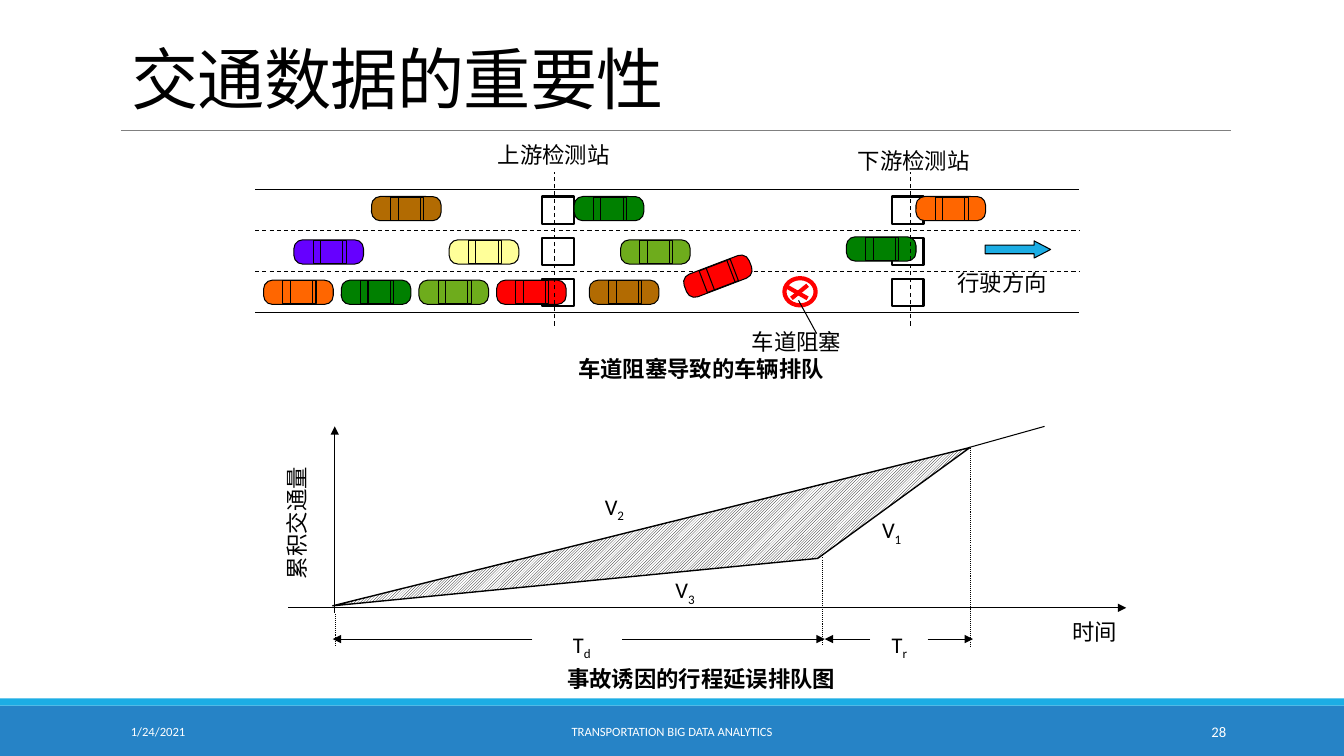
import math

import pptx
import pptx.dml.color
import pptx.enum.dml
import pptx.enum.shapes
import pptx.enum.text
import pptx.oxml
import pptx.oxml.ns
import pptx.util

Inches, Pt = pptx.util.Inches, pptx.util.Pt
SHAPE = pptx.enum.shapes.MSO_SHAPE
DASH = pptx.enum.dml.MSO_LINE.DASH
DOT = pptx.enum.dml.MSO_LINE.ROUND_DOT
ALIGN = pptx.enum.text.PP_ALIGN
ANCHOR = pptx.enum.text.MSO_ANCHOR
WIDTH, HEIGHT = 13.33, 7.5
BLACK, WHITE, RED = "000000", "FFFFFF", "FF0000"
BROWN, GREEN, LIME, ORANGE = "B26B02", "008000", "6EAC1C", "FF6600"
YELLOW, VIOLET, SKY, BLUE = "FFFF99", "6600FF", "1CADE4", "2683C6"


def rgb(colour):
    return pptx.dml.color.RGBColor.from_string(colour)


def draw(kind, left, top, width, height, fill=None, line=BLACK, weight=0.75):
    """Add a preset shape, measured in inches; None means no fill or no line."""
    shape = slide.shapes.add_shape(kind, Inches(left), Inches(top), Inches(width), Inches(height))
    shape.shadow.inherit = False
    for target, colour in ((shape.fill, fill), (shape.line.fill, line)):
        if colour is None:
            target.background()
        else:
            target.solid()
            target.fore_color.rgb = rgb(colour)
    if line:
        shape.line.width = Pt(weight)
    return shape


presentation = pptx.Presentation()
presentation.slide_width, presentation.slide_height = Inches(WIDTH), Inches(HEIGHT)
slide = presentation.slides.add_slide(presentation.slide_layouts[5])

# Title and footer bars
title = slide.shapes.title
title.left, title.top, title.width, title.height = (Inches(n) for n in (1.2, 0.13, 11, 1.09))
title.text_frame.text = "交通数据的重要性"
title.text_frame.auto_size = pptx.enum.text.MSO_AUTO_SIZE.NONE
title.text_frame.vertical_anchor = ANCHOR.BOTTOM
paragraph = title.text_frame.paragraphs[0]
paragraph.alignment, paragraph.line_spacing = ALIGN.LEFT, 0.85
run = paragraph.runs[0]
run.font.name, run.font.size, run.font.color.rgb = "Calibri", Pt(48), rgb(BLACK)
run.font._element.set("spc", "-50")

draw(SHAPE.RECTANGLE, 0, HEIGHT - 0.5, WIDTH, 0.5, BLUE, None)
draw(SHAPE.RECTANGLE, 0, HEIGHT - 0.57, WIDTH, 0.07, SKY, None)

# Road grid: three lanes, a detector in each lane at both stations
ROAD_TOP, LANE = 1.88, 0.407
lane_edges = [ROAD_TOP + LANE * i for i in range(4)]
for station in (5.38, 8.85):
    for edge in lane_edges[:3]:
        draw(SHAPE.RECTANGLE, station, edge + 0.07, 0.31, 0.27, weight=1.5)

# Each line: x1, y1, x2, y2, colour, weight, dash, arrow at the end
road_lines = [(2.53, edge, 10.7, edge, BLACK, 0.75, DASH if i in (1, 2) else None, False)
              for i, edge in enumerate(lane_edges)]
station_lines = [(x, 3.23, x, 1.71, BLACK, 0.75, DASH, False) for x in (5.5, 9.03)]
sign_lines = [
    (8.01, 2.83, 7.85, 2.96, RED, 3, None, False),
    (8.01, 2.96, 7.78, 2.83, RED, 3, None, False),
    (7.92, 2.98, 8.1, 3.31, BLACK, 0.75, None, False),
]
axis_lines = [(x1, y1, x2, y2, BLACK, 0.75, None, True) for x1, y1, x2, y2 in (
    (3.32, 6.08, 3.32, 4.23), (2.86, 6.03, 11.17, 6.03),
    (5.28, 6.34, 3.3, 6.34), (6.17, 6.34, 8.18, 6.34),
    (8.63, 6.34, 8.18, 6.34), (9.2, 6.34, 9.65, 6.34))]
drop_lines = [(x, y, x, 6.41, BLACK, 0.75, DOT, False)
              for x, y in ((3.33, 6.09), (8.16, 5.51), (9.63, 4.44))]
other_lines = [(1.2, 1.29, 12.21, 1.29, "808080", 0.5, None, False),
               (9.61, 4.44, 10.36, 4.23, BLACK, 0.75, None, False)]

# Cars: centre x, centre y, colour, rotation
cars = [
    *((x, 2.9, colour, 0) for x, colour in zip(
        (6.19, 5.27, 4.5, 3.73, 2.96), (BROWN, RED, LIME, GREEN, ORANGE))),
    *((x, 2.5, colour, 0) for x, colour in zip((6.5, 4.8, 3.26), (LIME, YELLOW, VIOLET))),
    *((x, 2.07, colour, 0) for x, colour in zip((4.03, 6.04, 9.43), (BROWN, GREEN, ORANGE))),
    (8.74, 2.47, GREEN, 0),
    (7.12, 2.74, RED, -20.9),
]
# Car parts: kind, length, breadth, shift towards the front
car_parts = [
    (SHAPE.ROUNDED_RECTANGLE, 0.69, 0.24, 0),
    (SHAPE.RECTANGLE, 0.33, 0.23, 0.01),
    (SHAPE.RECTANGLE, 0.22, 0.23, 0.03),
]
for x, y, colour, rotation in cars:
    angle = math.radians(rotation)
    for kind, length, breadth, shift in car_parts:
        part = draw(kind, x + shift * math.cos(angle) - length / 2,
                    y + shift * math.sin(angle) - breadth / 2, length, breadth, colour)
        part.rotation = rotation
        if kind == SHAPE.ROUNDED_RECTANGLE:
            part.adjustments[0] = 0.36

draw(SHAPE.OVAL, 7.78, 2.76, 0.31, 0.27, line=RED, weight=3)
direction = draw(SHAPE.RIGHT_ARROW, 9.77, 2.39, 0.65, 0.17, SKY)
direction.adjustments[1] = 0.96

# Delay area between the cumulative curves
corners = [(Inches(x), Inches(y)) for x, y in ((3.3, 6.01), (9.62, 4.44), (8.11, 5.54))]
builder = slide.shapes.build_freeform(*corners[0])
builder.add_line_segments(corners[1:], close=True)
delay = builder.convert_to_shape()
delay.shadow.inherit = False
delay.fill.patterned()
delay.fill.pattern = pptx.enum.dml.MSO_PATTERN.LIGHT_UPWARD_DIAGONAL
delay.fill.fore_color.rgb, delay.fill.back_color.rgb = rgb(BLACK), rgb(WHITE)
delay.line.color.rgb, delay.line.width = rgb(BLACK), Pt(1)

for x1, y1, x2, y2, colour, weight, dash, arrow in (
        road_lines + station_lines + sign_lines + axis_lines + drop_lines + other_lines):
    connector = slide.shapes.add_connector(
        pptx.enum.shapes.MSO_CONNECTOR.STRAIGHT, Inches(x1), Inches(y1), Inches(x2), Inches(y2))
    connector.line.color.rgb, connector.line.width = rgb(colour), Pt(weight)
    if dash:
        connector.line.dash_style = dash
    properties = connector._element.spPr
    if arrow:
        tail = pptx.oxml.parse_xml(
            f'<a:tailEnd {pptx.oxml.ns.nsdecls("a")} type="triangle"/>')
        properties.find(pptx.oxml.ns.qn("a:ln")).append(tail)
    properties.append(pptx.oxml.parse_xml(f'<a:effectLst {pptx.oxml.ns.nsdecls("a")}/>'))
    if connector.line.color.rgb == rgb(BLACK) and (x1, x2) == (2.53, 10.7):
        # The road lies beneath the cars
        slide.shapes._spTree.remove(connector._element)
        slide.shapes._spTree.insert(3, connector._element)

# Labels: text, left, top, width, height, changes; "_" starts a subscript
plain = {"size": 16, "bold": False, "colour": BLACK, "align": ALIGN.LEFT,
         "anchor": ANCHOR.TOP, "inset": True, "rotation": 0}
centred = {"align": ALIGN.CENTER}
caption = {**centred, "bold": True}
tight = {**centred, "inset": False}
footer = {"size": 9, "colour": WHITE, "anchor": ANCHOR.MIDDLE}
labels = [
    ("车道阻塞", 7.36, 3.21, 1.1, 0.37, {}),
    ("上游检测站", 4.84, 1.35, 1.32, 0.37, {}),
    ("下游检测站", 8.41, 1.41, 1.67, 0.37, {}),
    ("行驶方向", 9.4, 2.62, 1.1, 0.37, {}),
    ("车道阻塞导致的车辆排队", 2.53, 3.47, 8.85, 0.37, caption),
    ("事故诱因的行程延误排队图", 2.87, 6.6, 8.17, 0.19, {**caption, **tight}),
    ("累积交通量", 1.91, 5, 2.07, 0.38, {**centred, "rotation": 270}),
    ("时间", 10.54, 6.08, 0.84, 0.18, {}),
    ("V_3", 6.6, 5.67, 0.71, 0.19, {}),
    ("V_1", 8.65, 5.07, 0.86, 0.19, {}),
    ("V_2", 5.9, 4.84, 0.71, 0.19, {}),
    ("T_d", 5.62, 6.26, 0.3, 0.13, tight),
    ("T_r", 8.77, 6.26, 0.3, 0.13, tight),
    ("1/24/2021", 1.2, 7.06, 2.7, 0.4, footer),
    ("TRANSPORTATION BIG DATA ANALYTICS", 4.03, 7.06, 5.27, 0.4, {**footer, **centred}),
    ("28", 10.83, 7.06, 1.43, 0.4, {**footer, "size": 10.5, "align": ALIGN.RIGHT}),
]
for text, left, top, width, height, changes in labels:
    look = {**plain, **changes}
    box = slide.shapes.add_textbox(Inches(left), Inches(top), Inches(width), Inches(height))
    box.rotation = look["rotation"]
    frame = box.text_frame
    frame.word_wrap, frame.vertical_anchor = True, look["anchor"]
    if not look["inset"]:
        for side in ("left", "top", "right", "bottom"):
            setattr(frame, f"margin_{side}", 0)
    paragraph = frame.paragraphs[0]
    paragraph.alignment = look["align"]
    for i, piece in enumerate(text.split("_")):
        run = paragraph.add_run()
        run.text = piece
        font = {"name": "Calibri", "size": Pt(look["size"]), "bold": look["bold"]}
        for name, value in font.items():
            setattr(run.font, name, value)
        run.font.color.rgb = rgb(look["colour"])
        if i:
            run.font._element.set("baseline", "-25000")

presentation.save("out.pptx")
